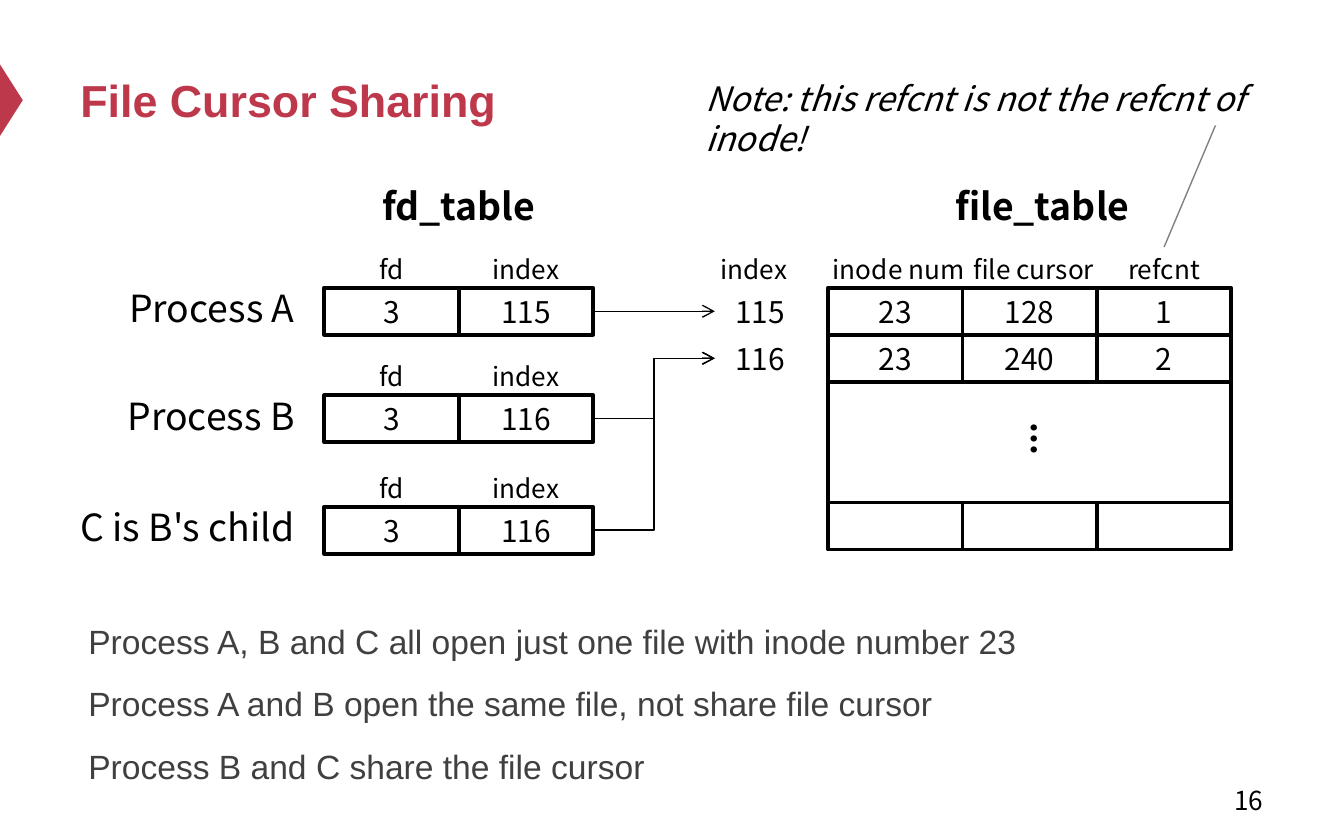
import pptx
import pptx.util
import pptx.dml.color
import pptx.enum.shapes
import pptx.enum.text
import pptx.oxml
import pptx.oxml.ns

Cm, Pt = pptx.util.Cm, pptx.util.Pt
SHAPE = pptx.enum.shapes.MSO_SHAPE
CONNECTOR = pptx.enum.shapes.MSO_CONNECTOR
ALIGN = pptx.enum.text.PP_ALIGN
ANCHOR = pptx.enum.text.MSO_ANCHOR

COLORS = {"ink": "000000", "accent": "BE384B", "body": "404040",
          "pointer": "808080", "paper": "FFFFFF"}


class Canvas:
    """Slide style and the slide being drawn; all positions are in cm."""
    heading_font = "Arial"
    diagram_font = "Noto Sans CJK SC"

    def __init__(self, slide):
        self.slide = slide

    def color(self, name):
        return pptx.dml.color.RGBColor.from_string(COLORS[name])

    def fill_frame(self, frame, lines, size, align, anchor, color="ink", font=None,
                   bold=False, italic=False, gap=0):
        frame.word_wrap = True
        frame.vertical_anchor = anchor
        for number, line in enumerate(lines):
            paragraph = frame.paragraphs[0] if number == 0 else frame.add_paragraph()
            paragraph.text = line
            paragraph.alignment = align
            paragraph.space_before = Pt(gap)
            paragraph.font.size = Pt(size)
            paragraph.font.name = font or self.diagram_font
            paragraph.font.bold = bold
            paragraph.font.italic = italic
            paragraph.font.color.rgb = self.color(color)

    def text(self, left, top, width, height, *lines, size=14, align=ALIGN.CENTER,
             anchor=ANCHOR.TOP, **style):
        label = self.slide.shapes.add_textbox(Cm(left), Cm(top), Cm(width), Cm(height))
        self.fill_frame(label.text_frame, lines, size, align, anchor, **style)
        return label

    def cell(self, left, top, width, height, value):
        cell = self.slide.shapes.add_shape(
            SHAPE.RECTANGLE, Cm(left), Cm(top), Cm(width), Cm(height))
        cell.shadow.inherit = False
        cell.fill.background()
        cell.line.color.rgb = self.color("ink")
        cell.line.width = Pt(2)
        if value:
            self.fill_frame(cell.text_frame, [value], 16, ALIGN.CENTER, ANCHOR.MIDDLE)

    def marker(self, left, top, width, height):
        marker = self.slide.shapes.add_shape(
            SHAPE.ISOSCELES_TRIANGLE, Cm(left), Cm(top), Cm(width), Cm(height))
        marker.rotation = 90
        marker.shadow.inherit = False
        marker.fill.solid()
        marker.fill.fore_color.rgb = self.color("accent")
        marker.line.fill.background()

    def line(self, start, end, width=0.75, color="ink", kind=CONNECTOR.STRAIGHT,
             arrow=False):
        line = self.slide.shapes.add_connector(
            kind, *(Cm(value) for value in (*start, *end)))
        line.line.width = Pt(width)
        line.line.color.rgb = self.color(color)
        namespace = pptx.oxml.ns.nsdecls("a")
        properties = line.element.spPr
        if arrow:
            properties.find(pptx.oxml.ns.qn("a:ln")).append(
                pptx.oxml.parse_xml(f'<a:tailEnd {namespace} type="arrow"/>'))
        properties.append(pptx.oxml.parse_xml(f"<a:effectLst {namespace}/>"))


CELL_W, CELL_H = 2.54, 0.89
FD_LEFT, FILE_LEFT, FIRST_ROW = 6.13, 15.65, 5.44
INDEX_LEFT, INDEX_W = 13.51, 1.7
HEADER_W, HEADER_H, HEADER_RISE = 1.94, 0.86, 0.78


def main():
    deck = pptx.Presentation()
    deck.slide_width, deck.slide_height = Cm(25.4), Cm(15.88)
    canvas = Canvas(deck.slides.add_slide(deck.slide_layouts[6]))

    # Title, its marker and the page number
    canvas.marker(-0.46, 1.68, 1.35, 0.43)
    canvas.text(1.27, 0.64, 22.86, 2.49, "File Cursor Sharing", size=24,
                align=ALIGN.LEFT, anchor=ANCHOR.MIDDLE, color="accent",
                font=canvas.heading_font, bold=True)
    canvas.text(18.21, 14.71, 5.92, 0.84, "16", align=ALIGN.RIGHT,
                anchor=ANCHOR.MIDDLE)

    # Table names
    for name, left in (("fd_table", 5.28), ("file_table", 16.31)):
        canvas.text(left, 3.34, 6.78, 1.12, name, size=20, bold=True)

    # One fd_table per process, with an arrow to its file_table entry
    processes = [("Process A", FIRST_ROW, "115", 0), ("Process B", 7.47, "116", 1),
                 ("C is B's child", 9.58, "116", 1)]
    for process, top, index, entry in processes:
        canvas.text(0.82, top - 0.17, 5, 1.12, process, size=20, align=ALIGN.RIGHT)
        for column, (header, value) in enumerate((("fd", "3"), ("index", index))):
            left = FD_LEFT + column * CELL_W
            canvas.text(left + (CELL_W - HEADER_W) / 2, top - HEADER_RISE,
                        HEADER_W, HEADER_H, header)
            canvas.cell(left, top, CELL_W, CELL_H, value)
        canvas.line((FD_LEFT + 2 * CELL_W, top + CELL_H / 2),
                    (INDEX_LEFT, FIRST_ROW + (entry + 0.5) * CELL_H),
                    kind=CONNECTOR.ELBOW, arrow=True)

    # file_table headers
    header_top = FIRST_ROW - HEADER_RISE
    for header, left, width, align in (
            ("index", 13.28, HEADER_W, ALIGN.CENTER),
            ("inode num", 15.49, 3, ALIGN.LEFT),
            ("file cursor", 18.14, 3, ALIGN.LEFT),
            ("refcnt", 20.5, 3, ALIGN.CENTER)):
        canvas.text(left, header_top, width, HEADER_H, header, align=align)

    # file_table entries: two in use, the last one empty
    last_row = 9.5
    for index, top, values in (
            ("115", FIRST_ROW, ("23", "128", "1")),
            ("116", FIRST_ROW + CELL_H, ("23", "240", "2")),
            ("", last_row, ("", "", ""))):
        if index:
            canvas.text(INDEX_LEFT, top, INDEX_W, CELL_H, index, size=16,
                        anchor=ANCHOR.MIDDLE)
        for column, value in enumerate(values):
            canvas.cell(FILE_LEFT + column * CELL_W, top, CELL_W, CELL_H, value)

    # Skipped entries
    for side in (FILE_LEFT, FILE_LEFT + 3 * CELL_W):
        canvas.line((side, FIRST_ROW + 2 * CELL_H), (side, last_row), width=2)
    dots = canvas.text(19.13, 7.85, 1.24, 1.02, "...", size=18, bold=True,
                       align=ALIGN.LEFT)
    dots.rotation = 90

    # Note on refcnt, covering the upper end of its pointer
    canvas.line((23.06, 2.16), (22, 4.67), color="pointer")
    note = canvas.text(13.08, 1.35, 11.99, 1.02,
                       "Note: this refcnt is not the refcnt of inode!",
                       size=18, align=ALIGN.LEFT, italic=True)
    note.fill.solid()
    note.fill.fore_color.rgb = canvas.color("paper")

    # Conclusions
    canvas.text(1.42, 11.61, 23.06, 3.28,
                "Process A, B and C all open just one file with inode number 23",
                "Process A and B open the same file, not share file cursor",
                "Process B and C share the file cursor",
                size=18, align=ALIGN.LEFT, color="body",
                font=canvas.heading_font, gap=12)

    deck.save("out.pptx")


if __name__ == "__main__":
    main()
